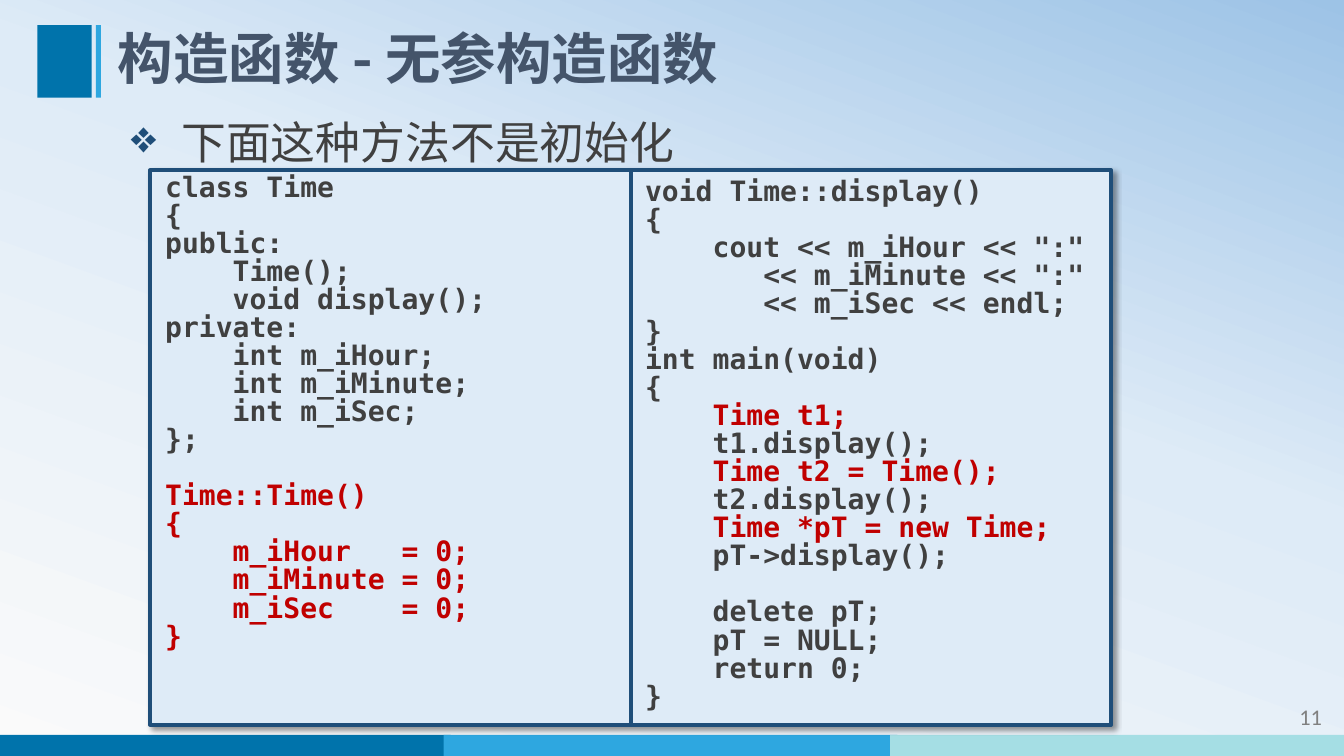
import copy
import pptx
import pptx.util
import pptx.dml.color
import pptx.enum.shapes
import pptx.enum.text
import pptx.oxml
import pptx.oxml.ns
from lxml import etree

Inches, Pt = pptx.util.Inches, pptx.util.Pt
RGB = pptx.dml.color.RGBColor.from_string
RECT = pptx.enum.shapes.MSO_SHAPE.RECTANGLE
ALIGN = pptx.enum.text.PP_ALIGN
ANCHOR = pptx.enum.text.MSO_ANCHOR
qn = pptx.oxml.ns.qn
NS = pptx.oxml.ns.nsdecls("a")

theme = {
    "sky": [(0, "FAFAFA"), (0.58, "DEEBF7"), (1, "9DC3E6")],
    "bars": ["0073AB", "2EA7E0", "A5DEE4"],
    "navy": "1F4E79", "panel": "DEEBF7", "title": "44546A",
    "body": "404040", "red": "C00000", "gray": "808080",
    "han": "Noto Sans CJK SC", "mono": "DejaVu Sans Mono", "sans": "Calibri",
    "head": 39.6, "lead": 32, "code": 20, "page": 16,
}

left = """class Time
{
public:
    Time();
    void display();
private:
    int m_iHour;
    int m_iMinute;
    int m_iSec;
};

!Time::Time()
!{
!    m_iHour   = 0;
!    m_iMinute = 0;
!    m_iSec    = 0;
!}"""

right = """void Time::display()
{
    cout << m_iHour << ":"
       << m_iMinute << ":"
       << m_iSec << endl;
}
int main(void)
{
!    Time t1;
    t1.display();
!    Time t2 = Time();
    t2.display();
!    Time *pT = new Time;
    pT->display();

    delete pT;
    pT = NULL;
    return 0;
}"""

prs = pptx.Presentation()
prs.slide_width, prs.slide_height = Inches(13.33), Inches(7.5)
slide = prs.slides.add_slide(prs.slide_layouts[6])


def block(x, y, w, h, color):
    box = slide.shapes.add_shape(RECT, Inches(x), Inches(y), Inches(w), Inches(h))
    box.shadow.inherit = False
    box.fill.solid()
    box.fill.fore_color.rgb = RGB(color)
    box.line.fill.background()
    return box


def write(x, y, w, h, lines, face, size, color, bold=False):
    """Put lines in a text box; a leading ! marks red, an empty line a gap."""
    frame = slide.shapes.add_textbox(Inches(x), Inches(y), Inches(w), Inches(h)).text_frame
    frame.word_wrap = True
    para, gap = frame.paragraphs[0], 0
    for line in lines:
        if not line:
            gap = size
            continue
        if para.runs:
            para = frame.add_paragraph()
        para.text = line.lstrip("!")
        para.space_before, gap = Pt(gap), 0
        font = para.runs[0].font
        font.name, font.size, font.bold = face, Pt(size), bold
        font.color.rgb = RGB(theme["red"] if line[0] == "!" else color)
        east = etree.SubElement(font._element, qn("a:ea"))
        east.set("typeface", face)
    return frame


# Background gradient
fill = slide.background.fill
fill.gradient()
fill.gradient_angle = 70
stops = fill.gradient_stops[0]._gs.getparent()
stops.append(copy.deepcopy(stops[0]))
for stop, (place, color) in zip(fill.gradient_stops, theme["sky"]):
    stop.position = place
    stop.color.rgb = RGB(color)

# Footer bars
for i, color in enumerate(theme["bars"]):
    block(-0.03 + 4.43 * i, 7.29, 4.5, 0.21, color)

# Title with its marker
for x, w, color in zip((0.37, 0.95), (0.54, 0.05), theme["bars"]):
    block(x, 0.25, w, 0.72, color)
head = write(1.07, 0.25, 10.86, 0.72, ["构造函数 - 无参构造函数"],
             theme["han"], theme["head"], theme["title"], True)
head.vertical_anchor = ANCHOR.MIDDLE
head.paragraphs[0].line_spacing = 0.9

# Page number
page = write(11.62, 6.91, 1.59, 0.4, ["11"], theme["sans"], theme["page"], theme["gray"])
page.vertical_anchor = ANCHOR.MIDDLE
page.paragraphs[0].alignment = ALIGN.RIGHT

# Lead bullet
lead = write(1.2, 0.82, 5.65, 0.91, ["下面这种方法不是初始化"],
             theme["han"], theme["lead"], theme["body"])
lead.paragraphs[0].line_spacing = 1.5
props = lead.paragraphs[0]._p.get_or_add_pPr()
props.set("marL", str(Inches(0.5)))
props.set("indent", str(-Inches(0.5)))
tint = etree.SubElement(props, qn("a:buClr"))
etree.SubElement(tint, qn("a:srgbClr")).set("val", theme["navy"])
etree.SubElement(props, qn("a:buChar")).set("char", "❖")

# Code panel with a soft shadow
panel = block(1.49, 1.69, 9.53, 5.5, theme["panel"])
panel.line.color.rgb = RGB(theme["navy"])
panel.line.width = Pt(3)
glow = panel._element.spPr.find(qn("a:effectLst"))
glow.append(pptx.oxml.parse_xml(
    f'<a:outerShdw {NS} blurRad="{Pt(4)}" dist="{Pt(3)}" dir="2700000" algn="tl" rotWithShape="0">'
    '<a:srgbClr val="000000"><a:alpha val="40000"/></a:srgbClr></a:outerShdw>'))

# Code columns
for x, y, w, h, code in ((1.54, 1.69, 4.73, 5.15, left), (6.3, 1.73, 4.76, 5.43, right)):
    frame = write(x, y, w, h, code.splitlines(), theme["mono"], theme["code"], theme["body"], True)
    for para in frame.paragraphs:
        para.line_spacing = Pt(theme["code"])

# Divider between the columns
rule = slide.shapes.add_connector(pptx.enum.shapes.MSO_CONNECTOR.STRAIGHT, 0, 0, 0, 0)
rule.begin_connect(panel, 0)
rule.end_connect(panel, 2)
rule.line.color.rgb = RGB(theme["navy"])
rule.line.width = Pt(3)
etree.SubElement(rule._element.spPr, qn("a:effectLst"))

prs.save("out.pptx")
